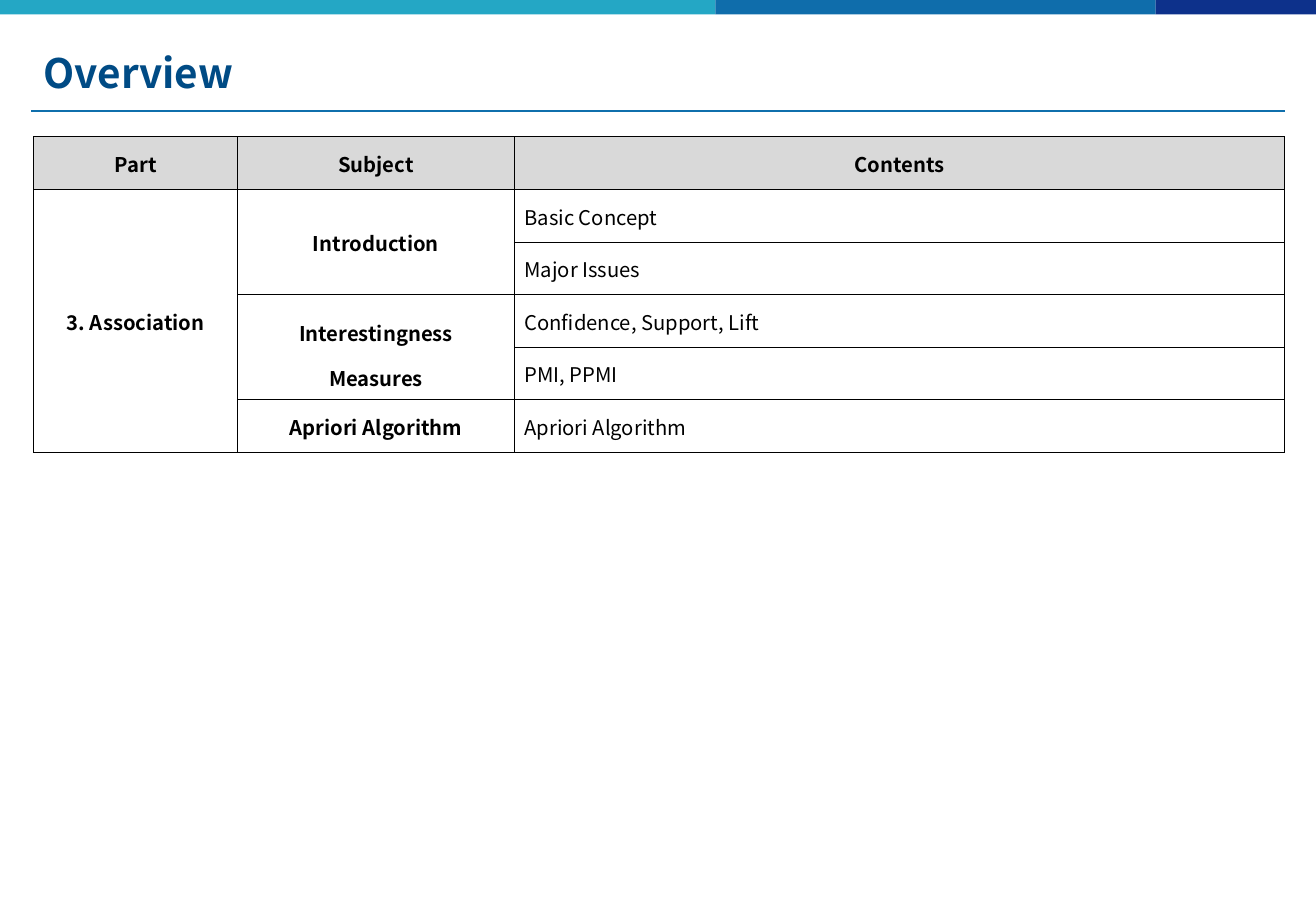
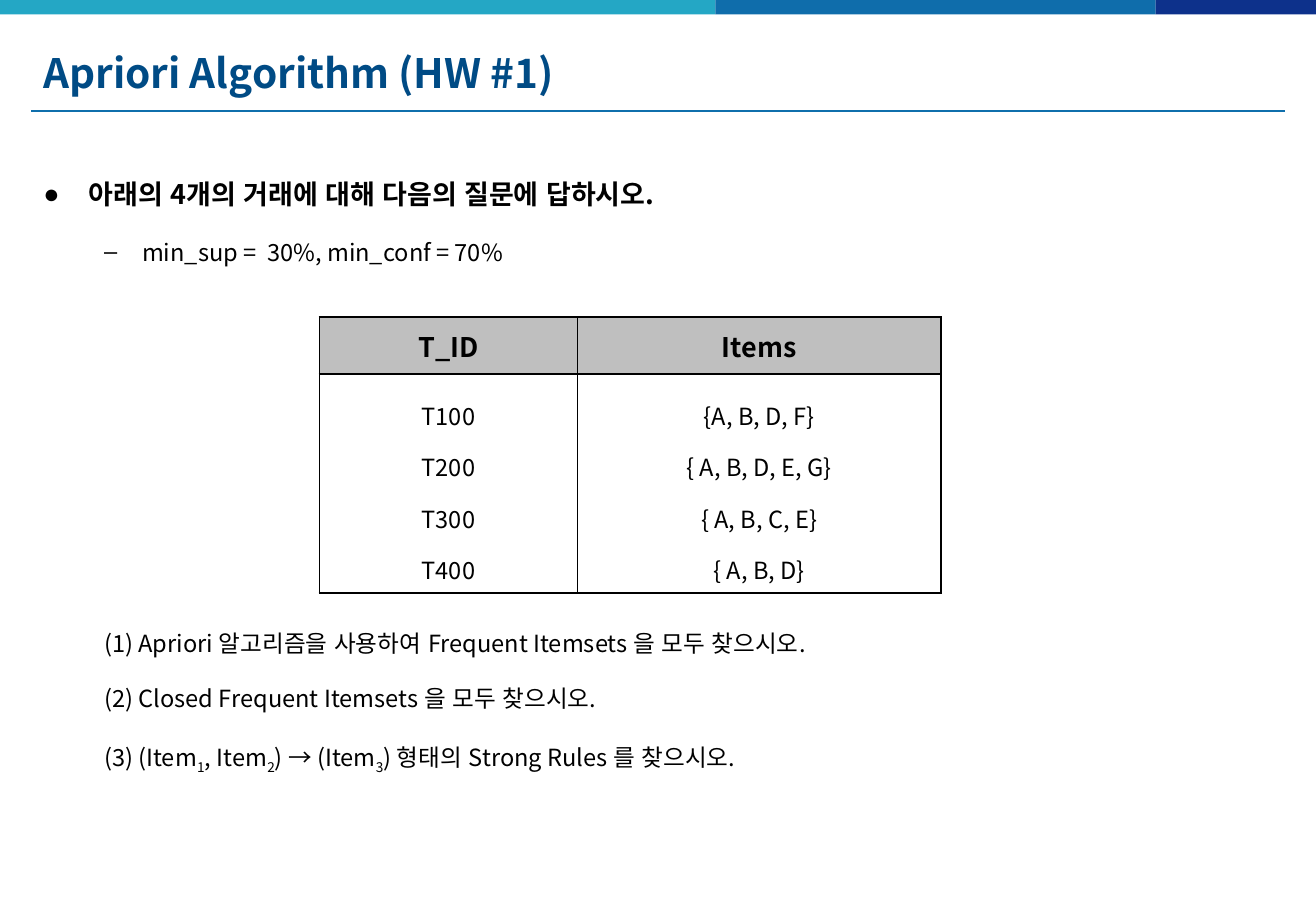
from lxml import etree
from pptx import Presentation
from pptx.dml import color
from pptx.enum import lang, shapes, text
from pptx.oxml import ns
from pptx.util import Pt

CENTER, LEFT = text.PP_ALIGN.CENTER, text.PP_ALIGN.LEFT


def paint(fill, colour):
    fill.solid()
    fill.fore_color.rgb = color.RGBColor.from_string(colour)


def add_tag(parent, tag, **attributes):
    return etree.SubElement(parent, ns.qn(tag), **attributes)


class Lecture:
    FONT = "Noto Sans CJK KR"
    BLACK, TITLE, RULE = "000000", "004B85", "0F6FAC"
    BANDS = [(0, 424, "24A7C5"), (424, 685, "0F6DAB"), (685, 780, "0D318B")]
    LEFT, WIDTH = 18.5, 743

    def __init__(self):
        self.deck = Presentation()
        self.deck.slide_width, self.deck.slide_height = Pt(780), Pt(540)
        self.page = None

    def new_page(self, title, layout):
        self.page = self.deck.slides.add_slide(self.deck.slide_layouts[layout])
        for start, end, colour in self.BANDS:
            self.band(start, end, colour)
        self.rule(65.9)
        box = self.page.shapes.title
        self.place(box, 19.8, 46)
        frame = box.text_frame
        frame.text = title
        frame.vertical_anchor = text.MSO_ANCHOR.MIDDLE
        frame.paragraphs[0].alignment = LEFT
        self.style(frame.paragraphs[0], 24, True, self.TITLE)

    def place(self, box, top, height):
        box.left, box.top = Pt(self.LEFT), Pt(top)
        box.width, box.height = Pt(self.WIDTH), Pt(height)
        box.text_frame.auto_size = text.MSO_AUTO_SIZE.NONE

    def style(self, para, size, bold, colour=BLACK):
        for span in para.runs:
            span.font.size, span.font.bold = Pt(size), bold
            paint(span.font.fill, colour)
            span.font.name = self.FONT
            add_tag(span._r.get_or_add_rPr(), "a:ea", typeface=self.FONT)

    def band(self, start, end, colour):
        box = self.page.shapes.add_shape(
            shapes.MSO_SHAPE.RECTANGLE, Pt(start), 0, Pt(end - start), Pt(8.6))
        box.shadow.inherit = False
        paint(box.fill, colour)
        box.line.fill.background()

    def rule(self, top):
        line = self.page.shapes.add_connector(
            shapes.MSO_CONNECTOR.STRAIGHT,
            Pt(self.LEFT), Pt(top), Pt(self.LEFT + self.WIDTH), Pt(top))
        paint(line.line.fill, self.RULE)
        line.line.width = Pt(1)
        add_tag(line._element.spPr, "a:effectLst")

    def body(self, items):
        box = self.page.placeholders[1]
        self.place(box, 86.4, 410)
        frame = box.text_frame
        for index, (words, level, margin, hang, bullet, before) in enumerate(items):
            para = frame.paragraphs[0] if index == 0 else frame.add_paragraph()
            for part, words_part in enumerate(words.split("|")):
                span = para.add_run()
                span.text = words_part
                span.font.language_id = lang.MSO_LANGUAGE_ID.KOREAN
                if part % 2:
                    span._r.get_or_add_rPr().set("baseline", "-25000")
            para.level, para.alignment = level, LEFT
            para.line_spacing, para.space_before = 1.8, Pt(before)
            self.style(para, 14 if level else 16, not level)
            props = para._p.get_or_add_pPr()
            props.set("marL", str(Pt(margin)))
            props.set("indent", str(Pt(-hang)))
            if bullet:
                add_tag(props, "a:buChar", char=bullet)
            else:
                add_tag(props, "a:buNone")

    def table(self, left, top, widths, heights, rows, header, border, insets,
              sizes, merges=(), bold_columns=(), left_columns=()):
        table = self.page.shapes.add_table(
            len(rows), len(widths), Pt(left), Pt(top),
            Pt(sum(widths)), Pt(sum(heights))).table
        table.first_row = table.horz_banding = False
        for column, width in zip(table.columns, widths):
            column.width = Pt(width)
        for row, height in zip(table.rows, heights):
            row.height = Pt(height)
        for first, last in merges:
            table.cell(*first).merge(table.cell(*last))
        for y, row in enumerate(rows):
            for x, words in enumerate(row):
                cell = table.cell(y, x)
                self.borders(cell, border)
                paint(cell.fill, "FFFFFF" if y else header)
                flush = y > 0 and x in left_columns
                self.cell_text(cell, words, insets, sizes[y > 0],
                               y == 0 or x in bold_columns, flush)

    def borders(self, cell, width):
        props = cell._tc.get_or_add_tcPr()
        for side in ("a:lnL", "a:lnR", "a:lnT", "a:lnB"):
            line = add_tag(props, side, w=str(Pt(width)))
            add_tag(add_tag(line, "a:solidFill"), "a:srgbClr", val=self.BLACK)

    def cell_text(self, cell, words, insets, size, bold, flush):
        side, top, bottom = insets
        cell.vertical_anchor = text.MSO_ANCHOR.MIDDLE
        cell.margin_left = Pt(6 if flush else side)
        cell.margin_right = Pt(side)
        cell.margin_top, cell.margin_bottom = Pt(top), Pt(bottom)
        if not words:
            return
        cell.text_frame.text = words
        for para in cell.text_frame.paragraphs:
            para.alignment = LEFT if flush else CENTER
            if "\n" in words:
                para.line_spacing = 1.5
            self.style(para, size, bold)


def main():
    lecture = Lecture()

    lecture.new_page("Overview", 5)
    lecture.table(
        19.9, 81, [121, 164, 456.5], [31.2] * 6,
        [("Part", "Subject", "Contents"),
         ("3. Association", "Introduction", "Basic Concept"),
         ("", "", "Major Issues"),
         ("", "Interestingness\nMeasures", "Confidence, Support, Lift"),
         ("", "", "PMI, PPMI"),
         ("", "Apriori Algorithm", "Apriori Algorithm")],
        header="D9D9D9", border=0.5, insets=(0.7, 0.9, 0), sizes=(12, 12),
        merges=[((1, 0), (5, 0)), ((1, 1), (2, 1)), ((3, 1), (4, 1))],
        bold_columns=(0, 1), left_columns=(2,))

    lecture.new_page("Apriori Algorithm (HW #1)", 1)
    lecture.body([
        ("아래의 4개의 거래에 대해 다음의 질문에 답하시오.", 0, 27, 27, "●", 0),
        ("min_sup =  30%, min_conf = 70%", 1, 58.5, 22.5, "–", 2.8),
        ("(1) Apriori 알고리즘을 사용하여 Frequent Itemsets 을 모두 찾으시오.",
         1, 36, 0, None, 201.5),
        ("(2) Closed Frequent Itemsets 을 모두 찾으시오.", 1, 36, 0, None, 2.8),
        ("(3) (Item|1|, Item|2|) → (Item|3|) 형태의 Strong Rules 를 찾으시오.",
         1, 36, 0, None, 2.8)])
    lecture.table(
        189.3, 187.8, [153, 215.5], [34, 90],
        [("T_ID", "Items"),
         ("T100\nT200\nT300\nT400",
          "{A, B, D, F}\n{ A, B, D, E, G}\n{ A, B, C, E}\n{ A, B, D}")],
        header="BFBFBF", border=1, insets=(7.2, 3.6, 3.6), sizes=(16, 14))

    lecture.deck.save("out.pptx")


if __name__ == "__main__":
    main()
